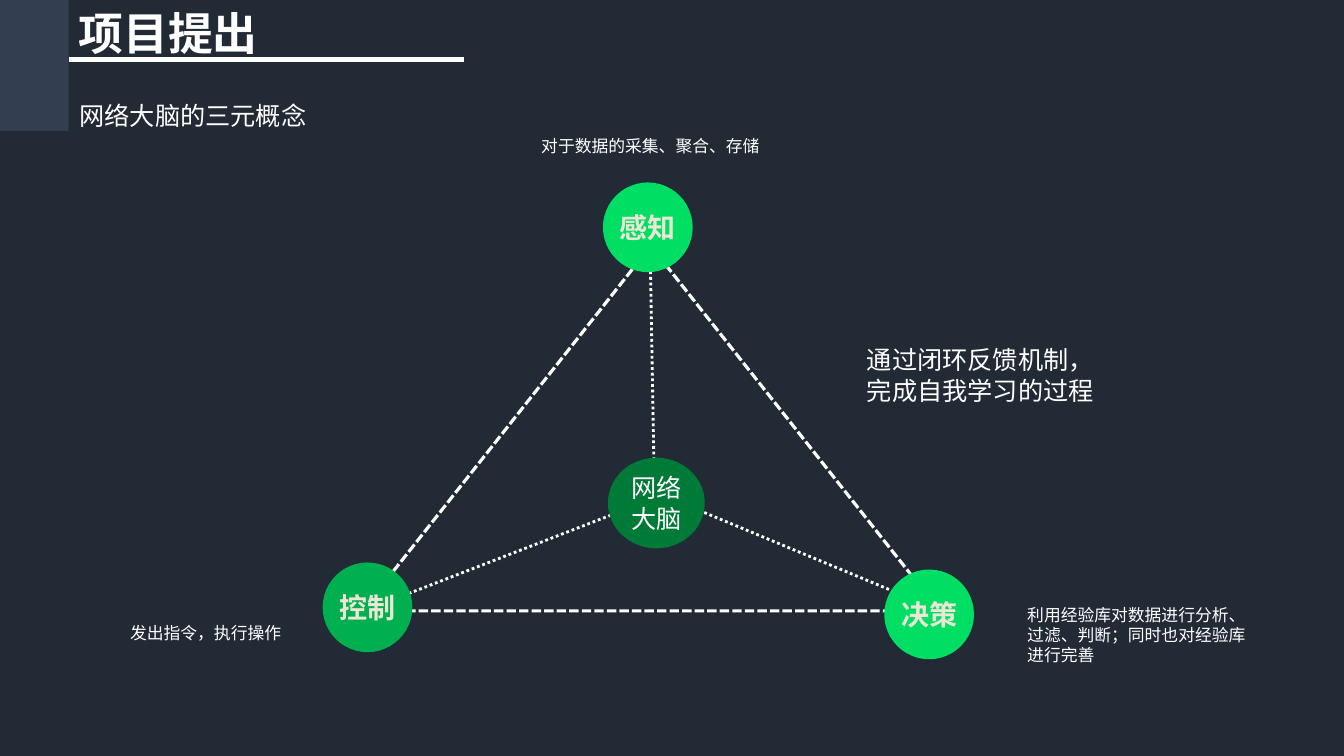
from lxml.etree import SubElement
from pptx import Presentation
from pptx.dml.color import RGBColor
from pptx.enum.dml import MSO_LINE
from pptx.enum.lang import MSO_LANGUAGE_ID
from pptx.enum.shapes import MSO_CONNECTOR, MSO_SHAPE
from pptx.enum.text import MSO_ANCHOR, PP_ALIGN
from pptx.oxml.ns import qn
from pptx.util import Inches, Pt

CJK_FONT = "Noto Sans CJK SC"
WHITE, CREAM = "FFFFFF", "EAE7D4"


def paint(color_format, hex_color):
    """Set a fill's, line's or font's colour from a hex string."""
    color_format.rgb = RGBColor.from_string(hex_color)


def write(frame, text, size, font=CJK_FONT, color=WHITE, bold=False, align=PP_ALIGN.LEFT):
    """Put one run of Chinese text into a text frame."""
    paragraph = frame.paragraphs[0]
    paragraph.alignment = align
    run = paragraph.add_run()
    run.text = text
    run.font.size = Pt(size)
    run.font.bold = bold
    run.font.name = font
    run.font.language_id = MSO_LANGUAGE_ID.SIMPLIFIED_CHINESE
    paint(run.font.color, color)
    SubElement(run.font._element, qn("a:ea"), typeface=CJK_FONT)


prs = Presentation()
prs.slide_width, prs.slide_height = Inches(13.33), Inches(7.5)
slide = prs.slides.add_slide(prs.slide_layouts[6])
slide.background.fill.solid()
paint(slide.background.fill.fore_color, "222A35")
shapes = slide.shapes

corner = shapes.add_shape(MSO_SHAPE.RECTANGLE, 0, 0, Inches(0.68), Inches(1.3))
corner.shadow.inherit = False
corner.fill.solid()
paint(corner.fill.fore_color, "333F50")
corner.line.fill.background()

# Title rule, then the dotted spokes of the network brain
rules = [
    (0.68, 0.59, 4.6, 0.59, 3, MSO_LINE.SOLID),
    (6.45, 2.58, 6.49, 4.84, 2, MSO_LINE.ROUND_DOT),
    (6.06, 5.11, 3.92, 5.94, 2, MSO_LINE.ROUND_DOT),
    (6.83, 5.02, 8.99, 5.92, 2, MSO_LINE.ROUND_DOT),
]
for x1, y1, x2, y2, weight, dash in rules:
    rule = shapes.add_connector(
        MSO_CONNECTOR.STRAIGHT, Inches(x1), Inches(y1), Inches(x2), Inches(y2))
    paint(rule.line.color, WHITE)
    rule.line.width = Pt(weight)
    rule.line.dash_style = dash
    SubElement(rule._element.spPr, qn("a:effectLst"))

feedback_loop = shapes.add_shape(
    MSO_SHAPE.ISOSCELES_TRIANGLE, Inches(3.59), Inches(2.44), Inches(5.73), Inches(3.62))
feedback_loop.shadow.inherit = False
feedback_loop.fill.background()
paint(feedback_loop.line.color, WHITE)
feedback_loop.line.width = Pt(2.25)
feedback_loop.line.dash_style = MSO_LINE.SQUARE_DOT

nodes = [
    ("网络大脑", 6.03, 4.54, 0.96, 0.9, "007A37", 18, WHITE, False),
    ("感知", 5.98, 1.81, 0.89, 0.89, "00DE64", 20, CREAM, True),
    ("决策", 8.77, 5.65, 0.89, 0.89, "00DE64", 20, CREAM, True),
    ("控制", 3.2, 5.58, 0.89, 0.89, "00B050", 20, CREAM, True),
]
for label, x, y, width, height, fill, size, color, bold in nodes:
    node = shapes.add_shape(
        MSO_SHAPE.OVAL, Inches(x), Inches(y), Inches(width), Inches(height))
    node.shadow.inherit = False
    node.fill.solid()
    paint(node.fill.fore_color, fill)
    node.line.fill.background()
    frame = node.text_frame
    frame.word_wrap = True
    frame.vertical_anchor = MSO_ANCHOR.MIDDLE
    frame.margin_left = frame.margin_right = frame.margin_top = frame.margin_bottom = 0
    write(frame, label, size, "Calibri", color, bold, PP_ALIGN.CENTER)

captions = [
    ("项目提出", 0.68, 0.01, 2.01, 0.64, 32, CJK_FONT, True, PP_ALIGN.LEFT),
    ("网络大脑的三元概念", 0.69, 0.95, 4.31, 0.4, 18, "Calibri", False, PP_ALIGN.LEFT),
    ("对于数据的采集、聚合、存储", 5.27, 1.3, 2.44, 0.3, 12, CJK_FONT, False, PP_ALIGN.LEFT),
    ("通过闭环反馈机制，完成自我学习的过程",
     8.5, 3.37, 2.47, 0.71, 18, "Calibri", False, PP_ALIGN.LEFT),
    ("发出指令，执行操作", 0.82, 6.13, 2.44, 0.3, 12, CJK_FONT, False, PP_ALIGN.CENTER),
    ("利用经验库对数据进行分析、过滤、判断；同时也对经验库进行完善",
     10.09, 5.95, 2.44, 0.71, 12, CJK_FONT, False, PP_ALIGN.LEFT),
]
for text, x, y, width, height, size, font, bold, align in captions:
    caption = shapes.add_textbox(Inches(x), Inches(y), Inches(width), Inches(height))
    caption.text_frame.word_wrap = True
    write(caption.text_frame, text, size, font, bold=bold, align=align)

prs.save("out.pptx")
